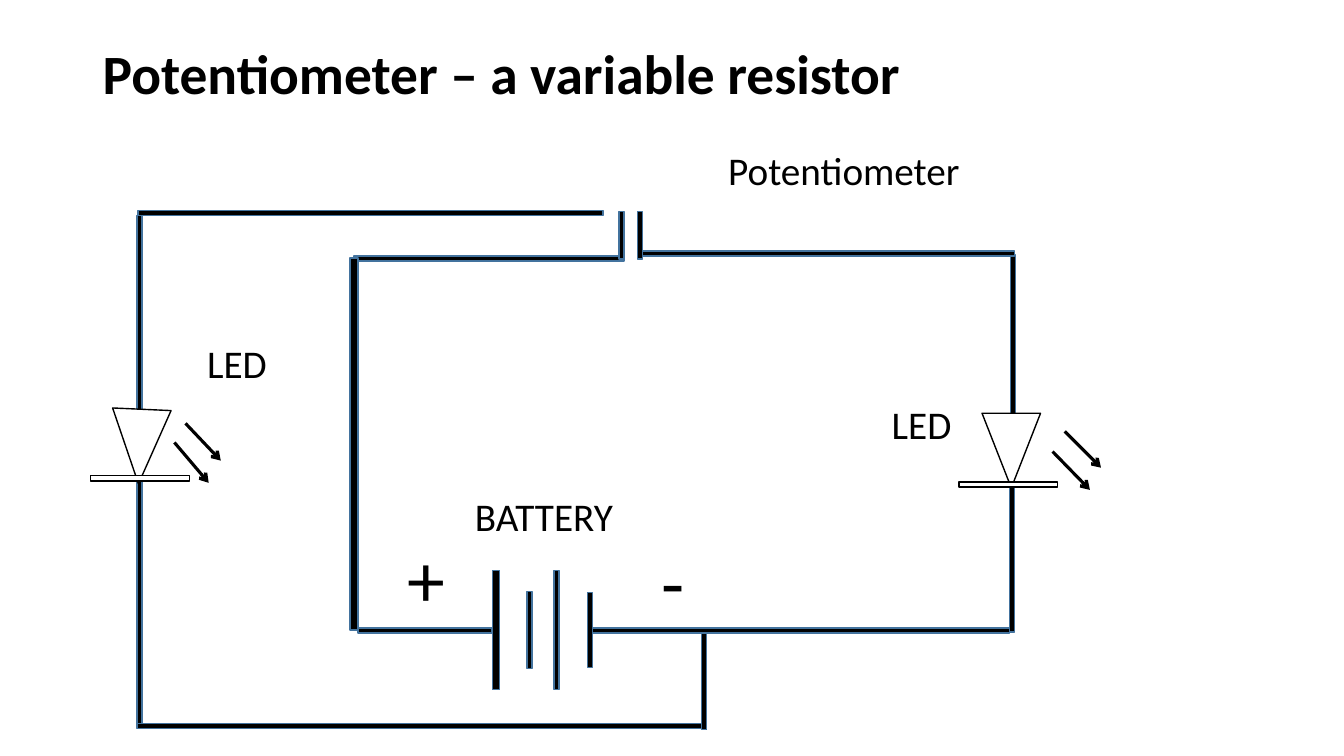
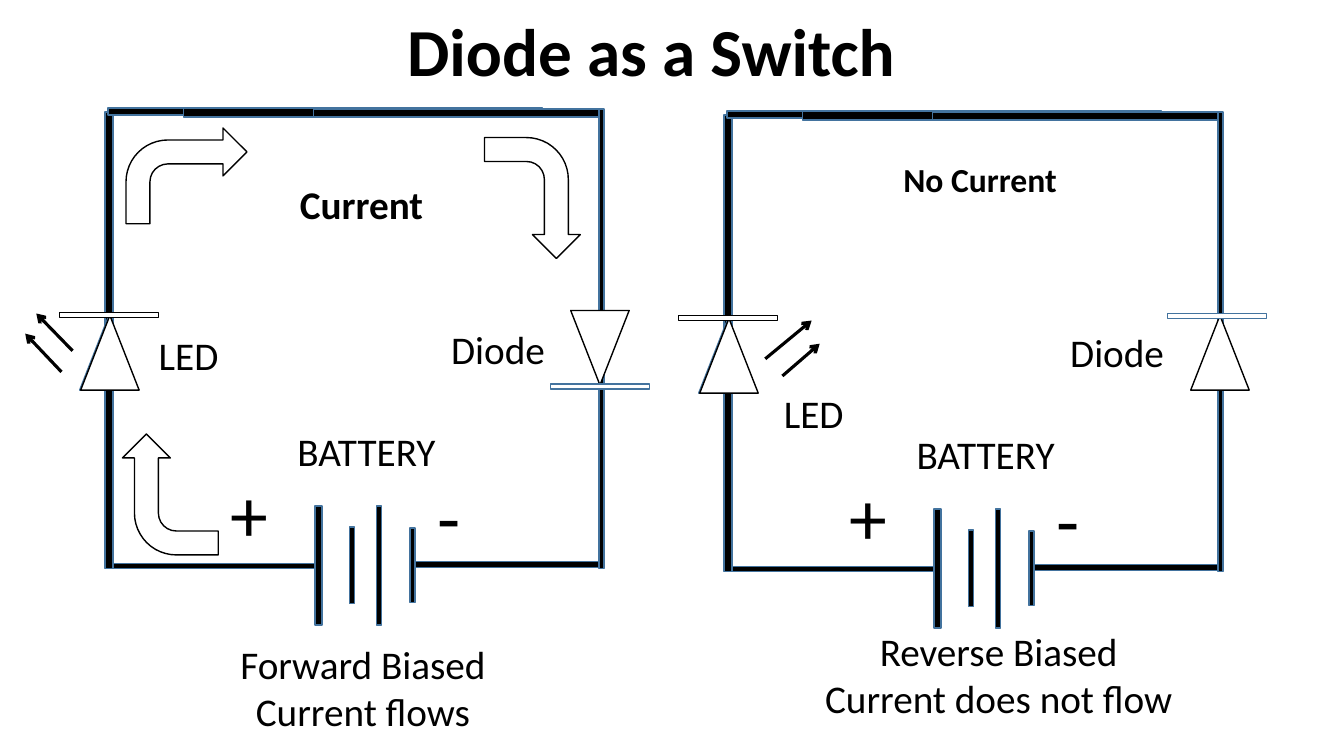
from dataclasses import dataclass
from typing import NamedTuple

from lxml.etree import SubElement
from pptx import Presentation
from pptx.dml.color import RGBColor
from pptx.enum.shapes import MSO_CONNECTOR, MSO_SHAPE
from pptx.enum.text import MSO_ANCHOR, PP_ALIGN
from pptx.oxml.ns import qn
from pptx.slide import Slide
from pptx.util import Inches, Pt

COLORS = {"ink": "000000", "paper": "FFFFFF", "edge": "43739E", "accent": "5B9BD5"}
FONT = "Calibri"
DIODE_WIDTH, DIODE_HEIGHT = 0.58, 0.74
BAR_WIDTH, BAR_HEIGHT = 0.98, 0.05


class Box(NamedTuple):
    left: float
    top: float
    width: float
    height: float

    def moved(self, dx: float, dy: float) -> "Box":
        return Box(self.left + dx, self.top + dy, self.width, self.height)


class Ray(NamedTuple):
    x1: float
    y1: float
    x2: float
    y2: float


class Cell(NamedTuple):
    offset: float
    width: float
    height: float


@dataclass
class Label:
    text: str
    box: Box
    size: float = 28
    bold: bool = False
    align: PP_ALIGN = PP_ALIGN.CENTER
    spacing: float = 1.0


@dataclass
class Diode:
    left: float
    top: float
    bar_left: float
    bar_top: float
    rotation: float = 0
    bar_line: str = "ink"
    backed: bool = False


CELLS = [Cell(0, 0.07, 1.18), Cell(0.33, 0.05, 0.76),
         Cell(0.6, 0.05, 1.18), Cell(0.93, 0.05, 0.74)]

POTENTIOMETER_WIRES = [
    Box(3.55, 6.23, 1.33, 0.05),
    Box(3.51, 2.54, 2.68, 0.05),
    Box(6.14, 2.1, 0.05, 0.47),
    Box(10.01, 4.25, 0.05, 2.02),
    Box(10.02, 2.53, 0.05, 2.02),
    Box(6.33, 2.49, 3.73, 0.05),
    Box(6.32, 2.1, 0.05, 0.47),
    Box(3.47, 2.56, 0.08, 3.69),
    Box(1.37, 2.09, 4.61, 0.05),
    Box(1.36, 4.15, 0.05, 3.07),
    Box(5.84, 6.23, 4.17, 0.05),
    Box(1.36, 2.14, 0.05, 2.06),
    Box(1.36, 7.18, 5.65, 0.05),
    Box(6.96, 6.28, 0.05, 0.96),
]

SWITCH_WIRES = [
    Box(1.09, 5.59, 2.04, 0.05),
    Box(4.08, 5.57, 1.86, 0.06),
    Box(5.94, 1.08, 0.05, 4.56),
    Box(1.04, 1.11, 0.08, 4.53),
    Box(1.07, 1.07, 2.77, 0.07),
    Box(1.82, 1.07, 3.56, 0.09),
    Box(3.11, 1.08, 2.83, 0.08),
]


def color(name: str) -> RGBColor:
    return RGBColor.from_string(COLORS[name])


def draw_shape(slide: Slide, kind: MSO_SHAPE, box: Box, fill: str = "paper",
               line: str = "ink", rotation: float = 0) -> None:
    shape = slide.shapes.add_shape(kind, *map(Inches, box))
    shape.shadow.inherit = False
    shape.fill.solid()
    shape.fill.fore_color.rgb = color(fill)
    shape.line.color.rgb = color(line)
    shape.line.width = Pt(1)
    shape.rotation = rotation


def draw_label(slide: Slide, label: Label) -> None:
    frame = slide.shapes.add_textbox(*map(Inches, label.box)).text_frame
    frame.word_wrap = label.align == PP_ALIGN.LEFT
    frame.vertical_anchor = MSO_ANCHOR.MIDDLE
    frame.text = label.text
    for paragraph in frame.paragraphs:
        paragraph.alignment = label.align
        paragraph.line_spacing = label.spacing
        paragraph.font.name = FONT
        paragraph.font.size = Pt(label.size)
        paragraph.font.bold = label.bold
        paragraph.font.color.rgb = color("ink")


def draw_title(slide: Slide, text: str, box: Box, size: float, spacing: float = 1.0) -> None:
    draw_label(slide, Label(text, box, size, True, PP_ALIGN.LEFT, spacing))


def draw_wires(slide: Slide, wires: list[Box]) -> None:
    for wire in wires:
        draw_shape(slide, MSO_SHAPE.FLOWCHART_PROCESS, wire, "ink", "edge")


def draw_battery(slide: Slide, x: float, y: float, minus_offset: float) -> None:
    for cell in CELLS:
        box = Box(x + cell.offset - cell.width / 2, y - cell.height / 2,
                  cell.width, cell.height)
        draw_shape(slide, MSO_SHAPE.RECTANGLE, box, "ink", "edge")
    draw_label(slide, Label("+", Box(x - 1.02, y - 1.03, 0.66, 1.01), 54))
    draw_label(slide, Label("-", Box(x + minus_offset, y - 1, 0.66, 1.01), 54))
    draw_label(slide, Label("BATTERY", Box(x - 0.37, y - 1.42, 1.69, 0.57)))


def draw_diode(slide: Slide, diode: Diode) -> None:
    body = Box(diode.left, diode.top, DIODE_WIDTH, DIODE_HEIGHT)
    if diode.backed:
        draw_shape(slide, MSO_SHAPE.ISOSCELES_TRIANGLE, body.moved(-0.01, 0), "accent", "edge")
    draw_shape(slide, MSO_SHAPE.ISOSCELES_TRIANGLE, body, rotation=diode.rotation)
    bar = Box(diode.bar_left, diode.bar_top, BAR_WIDTH, BAR_HEIGHT)
    draw_shape(slide, MSO_SHAPE.FLOWCHART_PROCESS, bar, line=diode.bar_line)


def draw_rays(slide: Slide, rays: list[Ray]) -> None:
    for ray in rays:
        arrow = slide.shapes.add_connector(MSO_CONNECTOR.STRAIGHT, *map(Inches, ray))
        arrow.line.color.rgb = color("ink")
        arrow.line.width = Pt(2.25)
        SubElement(arrow.line._get_or_add_ln(), qn("a:tailEnd"), type="arrow")
        SubElement(arrow._element.spPr, qn("a:effectLst"))


def draw_switch_circuit(slide: Slide, dx: float, dy: float, diode: Diode,
                        rays: list[Ray], labels: list[Label]) -> None:
    draw_wires(slide, [wire.moved(dx, dy) for wire in SWITCH_WIRES])
    draw_battery(slide, 3.16 + dx, 5.61 + dy, 0.96)
    draw_diode(slide, Diode(0.8 + dx, 3.13 + dy, 0.59 + dx, 3.1 + dy, backed=True))
    draw_diode(slide, diode)
    draw_rays(slide, rays)
    draw_label(slide, Label("Diode", Box(4.37, 3.18, 1.14, 0.57).moved(dx, dy)))
    for label in labels:
        draw_label(slide, label)


def build_potentiometer(slide: Slide) -> None:
    draw_title(slide, "Potentiometer – a variable resistor",
               Box(0.92, 0.4, 11.32, 0.71), 39.6, 0.9)
    draw_wires(slide, POTENTIOMETER_WIRES)
    draw_battery(slide, 4.92, 6.25, 1.43)
    draw_diode(slide, Diode(9.74, 4.1, 9.51, 4.78, 180))
    draw_diode(slide, Diode(1.1, 4.06, 0.9, 4.72, 182.6))
    draw_rays(slide, [Ray(1.84, 4.2, 2.19, 4.57), Ray(1.73, 4.39, 2.07, 4.79),
                      Ray(10.56, 4.28, 10.92, 4.64), Ray(10.44, 4.48, 10.81, 4.86)])
    for label in (Label("LED", Box(1.95, 3.31, 0.8, 0.57)),
                  Label("LED", Box(8.7, 3.92, 0.88, 0.57)),
                  Label("Potentiometer", Box(7.11, 1.4, 2.52, 0.57))):
        draw_label(slide, label)


def build_diode_switch(slide: Slide) -> None:
    draw_title(slide, "Diode as a Switch", Box(3.94, 0.04, 9.33, 0.91), 48)
    draw_switch_circuit(
        slide, 0, 0, Diode(5.66, 3.08, 5.46, 3.81, 180, "edge"),
        [Ray(0.72, 3.48, 0.36, 3.11), Ray(0.61, 3.69, 0.25, 3.31)],
        [Label("LED", Box(1.47, 3.24, 0.8, 0.57)),
         Label("Current", Box(2.61, 1.74, 1.95, 0.57), bold=True),
         Label("Forward Biased\nCurrent flows", Box(2.27, 6.3, 2.66, 1.04))])
    draw_switch_circuit(
        slide, 6.14, 0.03, Diode(11.81, 3.13, 11.58, 3.11, bar_line="edge"),
        [Ray(7.59, 3.56, 8.05, 3.18), Ray(7.76, 3.73, 8.13, 3.41)],
        [Label("LED", Box(7.67, 3.81, 0.8, 0.57)),
         Label("No Current", Box(8.85, 1.53, 1.74, 0.5), 24, True),
         Label("Reverse Biased\nCurrent does not flow", Box(8.06, 6.17, 3.69, 1.04))])
    for left, top, rotation in ((1.25, 1.27, 0), (4.68, 1.49, 90), (1.09, 4.43, 270)):
        draw_shape(slide, MSO_SHAPE.BENT_ARROW, Box(left, top, 1.2, 0.95), rotation=rotation)


def main() -> None:
    deck = Presentation()
    deck.slide_width, deck.slide_height = Inches(13.33), Inches(7.5)
    blank = deck.slide_layouts[6]
    for build in (build_potentiometer, build_diode_switch):
        build(deck.slides.add_slide(blank))
    deck.save("out.pptx")


if __name__ == "__main__":
    main()
